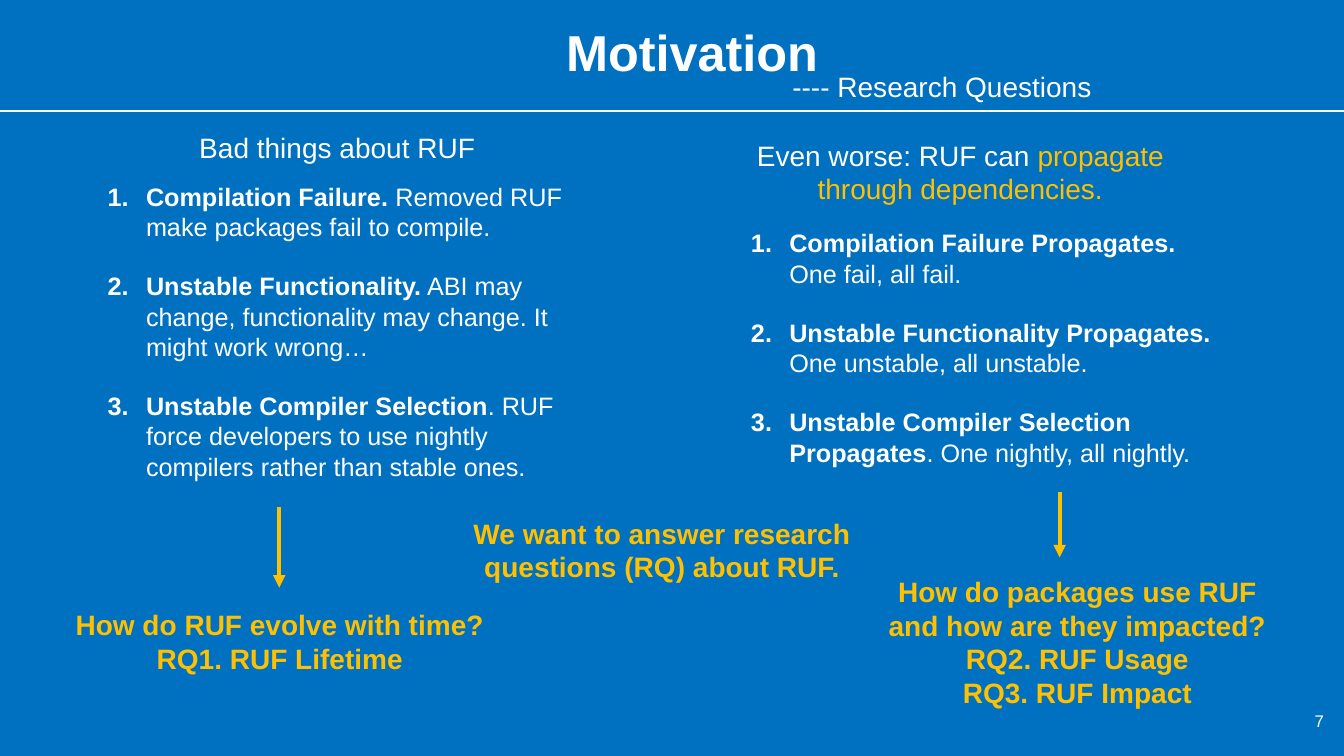
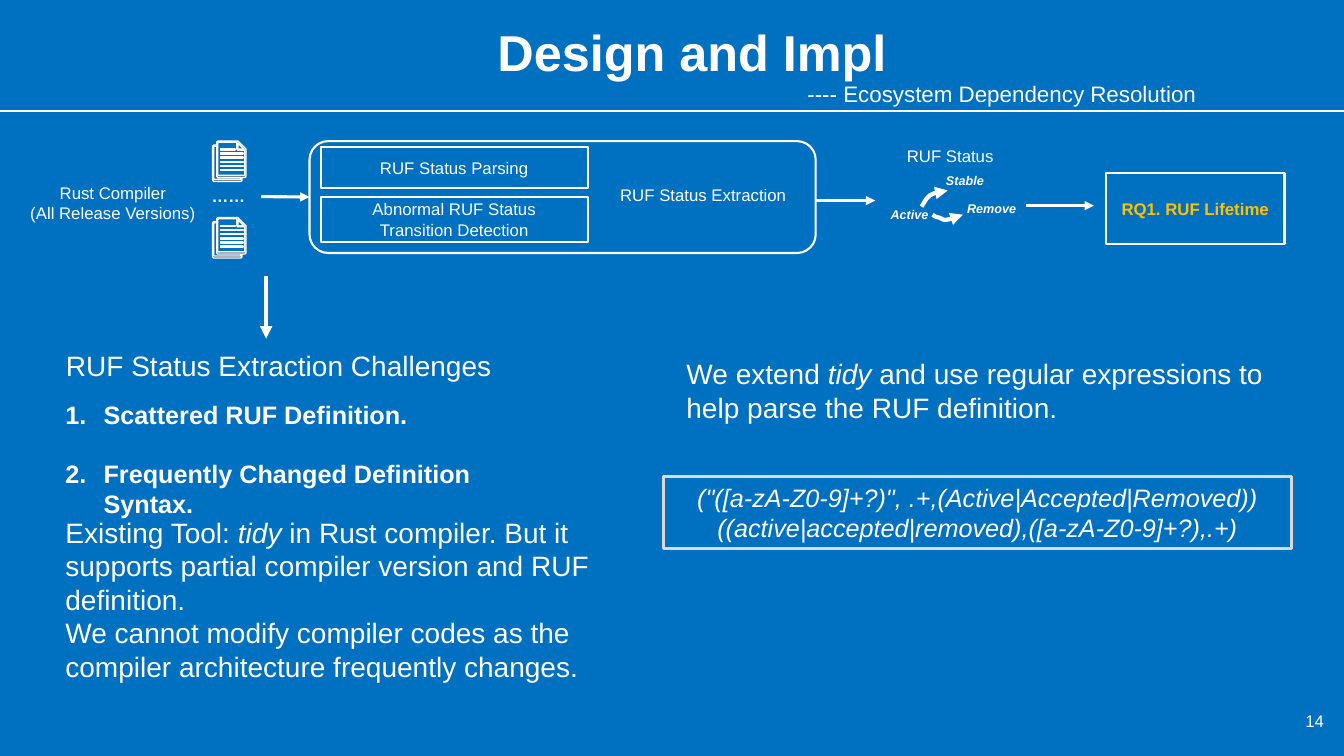
from lxml import etree
from pptx import Presentation
from pptx import util as u
from pptx.dml.color import RGBColor
from pptx.enum import shapes, text
from pptx.oxml.ns import qn

PX = 9144  # 100 px to the inch
BLUE = RGBColor(0x00, 0x70, 0xC0)
WHITE = RGBColor(0xFF, 0xFF, 0xFF)
GOLD = RGBColor(0xFF, 0xC0, 0x00)
GREY = RGBColor(0xD9, 0xD9, 0xD9)
DARK = RGBColor(0x26, 0x26, 0x26)
FONT = "Arial"
LEFT, CENTER, RIGHT = text.PP_ALIGN.LEFT, text.PP_ALIGN.CENTER, text.PP_ALIGN.RIGHT
MIDDLE = text.MSO_ANCHOR.MIDDLE
INDENT = 38


def put_text(shape, paras, size, style="", align=LEFT, numbered=False):
    """Fill a shape; a paragraph is a string or a list of (text, style) runs.

    Style letters: b bold, i italic, g gold.
    """
    frame = shape.text_frame
    frame.word_wrap = True
    for index, runs in enumerate(paras):
        para = frame.paragraphs[0] if index == 0 else frame.add_paragraph()
        para.alignment = align
        if isinstance(runs, str):
            runs = [(runs, style)]
        for words, look in runs:
            span = para.add_run()
            span.text = words
            span.font.name = FONT
            span.font.size = u.Pt(size)
            span.font.bold = "b" in look
            span.font.italic = "i" in look
            span.font.color.rgb = GOLD if "g" in look else WHITE
        if numbered:
            para.space_after = u.Pt(20.7)
            props = para._p.get_or_add_pPr()
            props.set("marL", str(INDENT * PX))
            props.set("indent", str(-INDENT * PX))
            etree.SubElement(props, qn("a:buAutoNum"), type="arabicPeriod")


def draw_line(shape, color, width, arrow=False):
    """Style a connector or open curve, without a shadow."""
    shape.line.color.rgb = color
    shape.line.width = u.Pt(width)
    if arrow:
        etree.SubElement(shape._element.spPr.get_or_add_ln(), qn("a:tailEnd"), type="triangle")
    etree.SubElement(shape._element.spPr, qn("a:effectLst"))


deck = Presentation()
deck.slide_width, deck.slide_height = 1333 * PX, 750 * PX
master_fill = deck.slide_master.background.fill
master_fill.solid()
master_fill.fore_color.rgb = BLUE

# Title, rule, subtitle and page number
pages = []
for heading, number, subtitle, subtitle_size, left, top in [
    ("Motivation", "7", "---- Research Questions", 20, 776, 64),
    ("Design and Impl", "14", "---- Ecosystem Dependency Resolution", 16, 791, 75),
]:
    page = deck.slides.add_slide(deck.slide_layouts[5])
    pages.append(page)
    rule = page.shapes.add_connector(shapes.MSO_CONNECTOR.STRAIGHT, 0, 110 * PX, 1333 * PX, 110 * PX)
    draw_line(rule, WHITE, 1.5)
    title = page.shapes.title
    title.left, title.top, title.width, title.height = (v * PX for v in (202, 9, 969, 91))
    put_text(title, [heading], 36, "b", CENTER)
    title.text_frame.auto_size = text.MSO_AUTO_SIZE.NONE
    title.text_frame.vertical_anchor = MIDDLE
    title.text_frame.paragraphs[0].line_spacing = 0.9
    box = page.shapes.add_textbox(left * PX, top * PX, 550 * PX, 44 * PX)
    put_text(box, [subtitle], subtitle_size)
    box = page.shapes.add_textbox(1270 * PX, 695 * PX, 53 * PX, 40 * PX)
    put_text(box, [number], 12, align=RIGHT)
    box.text_frame.vertical_anchor = MIDDLE
motivation, design = pages

# Numbered lists
for page, place, items in [
    (motivation, (97, 175, 495, 313), [
        [("Compilation Failure.", "b"), (" Removed RUF make packages fail to compile.", "")],
        [("Unstable Functionality.", "b"),
         (" ABI may change, functionality may change. It might work wrong…", "")],
        [("Unstable Compiler Selection", "b"),
         (". RUF force developers to use nightly compilers rather than stable ones.", "")],
    ]),
    (motivation, (735, 221, 495, 252), [
        [("Compilation Failure Propagates.", "b"), (" One fail, all fail.", "")],
        [("Unstable Functionality Propagates.", "b"), (" One unstable, all unstable.", "")],
        [("Unstable Compiler Selection Propagates", "b"), (". One nightly, all nightly.", "")],
    ]),
    (design, (55, 391, 516, 101), [
        [("Scattered RUF Definition.", "b")],
        [("Frequently Changed Definition Syntax.", "b")],
    ]),
]:
    box = page.shapes.add_textbox(*(v * PX for v in place))
    put_text(box, items, 18, numbered=True)

# Headings, statements and diagram labels
for page, place, paras, size, style, align in [
    (motivation, (97, 125, 475, 44), ["Bad things about RUF"], 20, "", CENTER),
    (motivation, (715, 132, 475, 77),
     [[("Even worse: RUF can ", ""), ("propagate through dependencies.", "g")]], 20, "", CENTER),
    (motivation, (63, 598, 429, 77),
     ["How do RUF evolve with time?", "RQ1. RUF Lifetime"], 20, "bg", CENTER),
    (motivation, (854, 565, 429, 145),
     ["How do packages use RUF and how are they impacted?", "RQ2. RUF Usage", "RQ3. RUF Impact"],
     20, "bg", CENTER),
    (motivation, (459, 507, 395, 77),
     ["We want to answer research questions (RQ) about RUF."], 20, "bg", CENTER),
    (design, (17, 176, 190, 52), ["Rust Compiler", "(All Release Versions)"], 12, "", CENTER),
    (design, (190, 179, 73, 31), ["……"], 12, "b", CENTER),
    (design, (582, 178, 231, 31), ["RUF Status Extraction"], 12, "", CENTER),
    (design, (886, 140, 113, 31), ["RUF Status"], 12, "", CENTER),
    (design, (868, 200, 68, 26), ["Active"], 9, "bi", CENTER),
    (design, (923, 167, 68, 26), ["Stable"], 9, "bi", CENTER),
    (design, (945, 194, 77, 26), ["Remove"], 9, "bi", CENTER),
    (design, (39, 341, 475, 44), ["RUF Status Extraction Challenges"], 20, "", CENTER),
    (design, (55, 506, 623, 178), [
        [("Existing Tool: ", ""), ("tidy ", "i"),
         ("in Rust compiler. But it supports partial compiler version and RUF definition.", "")],
        "We cannot modify compiler codes as the compiler architecture frequently changes.",
    ], 20, "", LEFT),
    (design, (671, 349, 623, 77),
     [[("We extend ", ""), ("tidy", "i"),
       (" and use regular expressions to help parse the RUF definition.", "")]], 20, "", LEFT),
]:
    box = page.shapes.add_textbox(*(v * PX for v in place))
    put_text(box, paras, size, style, align)

# Outlined boxes
RECT = shapes.MSO_SHAPE.RECTANGLE
outlined = []
for preset, place, paras, size, style, color, width in [
    (shapes.MSO_SHAPE.ROUNDED_RECTANGLE, (307, 140, 502, 111), [], 12, "", WHITE, 1.5),
    (RECT, (318, 146, 265, 41), ["RUF Status Parsing"], 12, "", WHITE, 1.5),
    (RECT, (318, 195, 265, 45), ["Abnormal RUF Status", "Transition Detection"], 12, "", WHITE, 1.5),
    (RECT, (1097, 172, 177, 70), ["RQ1. RUF Lifetime"], 12, "bg", WHITE, 1.5),
    (RECT, (658, 473, 623, 71),
     ['("([a-zA-Z0-9]+?)", .+,(Active|Accepted|Removed))',
      "((active|accepted|removed),([a-zA-Z0-9]+?),.+)"], 18, "i", GREY, 2.25),
]:
    box = design.shapes.add_shape(preset, *(v * PX for v in place))
    box.shadow.inherit = False
    box.fill.background()
    box.line.color.rgb = color
    box.line.width = u.Pt(width)
    put_text(box, paras, size, style, CENTER)
    outlined.append(box)
extraction = outlined[0]

# Straight arrows
for page, ends, color, width, target in [
    (motivation, (277, 503, 277, 583), GOLD, 3, None),
    (motivation, (1051, 488, 1051, 553), GOLD, 3, None),
    (design, (259, 195, 307, 195), WHITE, 2.25, extraction),
    (design, (808, 199, 868, 199), WHITE, 2.25, None),
    (design, (1018, 204, 1085, 204), WHITE, 2.25, None),
    (design, (264, 274, 264, 336), WHITE, 3, None),
]:
    arrow = page.shapes.add_connector(shapes.MSO_CONNECTOR.STRAIGHT, *(v * PX for v in ends))
    if target is not None:
        arrow.end_connect(target, 1)
    draw_line(arrow, color, width, arrow=True)

# Curved arrows between the states
for points in [
    [(914, 205), (916, 202), (919, 197), (922, 194), (926, 192), (932, 190), (940, 189)],
    [(925, 213), (928, 215), (932, 216), (936, 218), (939, 218), (944, 217), (955, 213)],
]:
    builder = design.shapes.build_freeform(*points[0], scale=PX)
    builder.add_line_segments(points[1:], close=False)
    curve = builder.convert_to_shape()
    curve.fill.background()
    draw_line(curve, WHITE, 3, arrow=True)

# Document icons: text lines, rear sheet, folded corner, front sheet, outline
text_lines = [(8, 22)] + [(y, 30) for y in range(12, 29, 4)]
contours = [[(8, y), (end, y), (end, y + 1), (8, y + 1)] for y, end in text_lines] + [
    [(1, 5), (1, 38), (28, 38), (28, 36), (5, 36), (4, 35), (4, 5)],
    [(25, 2), (25, 8), (31, 8)],
    [(6, 1), (5, 2), (5, 34), (32, 34), (32, 9), (25, 9), (24, 8), (24, 1)],
    [(5, 0), (25, 0), (33, 8), (33, 35), (32, 36), (29, 36), (29, 39), (28, 40),
     (1, 40), (0, 39), (0, 5), (1, 4), (4, 4), (4, 1)],
]
for top in (140, 216):
    builder = design.shapes.build_freeform(*contours[0][0], scale=PX)
    for contour in contours:
        builder.move_to(*contour[0])
        builder.add_line_segments(contour[1:], close=True)
    icon = builder.convert_to_shape(211 * PX, top * PX)
    icon.shadow.inherit = False
    icon.fill.solid()
    icon.fill.fore_color.rgb = DARK
    icon.line.color.rgb = WHITE
    icon.line.width = u.Pt(1)

deck.save("out.pptx")
